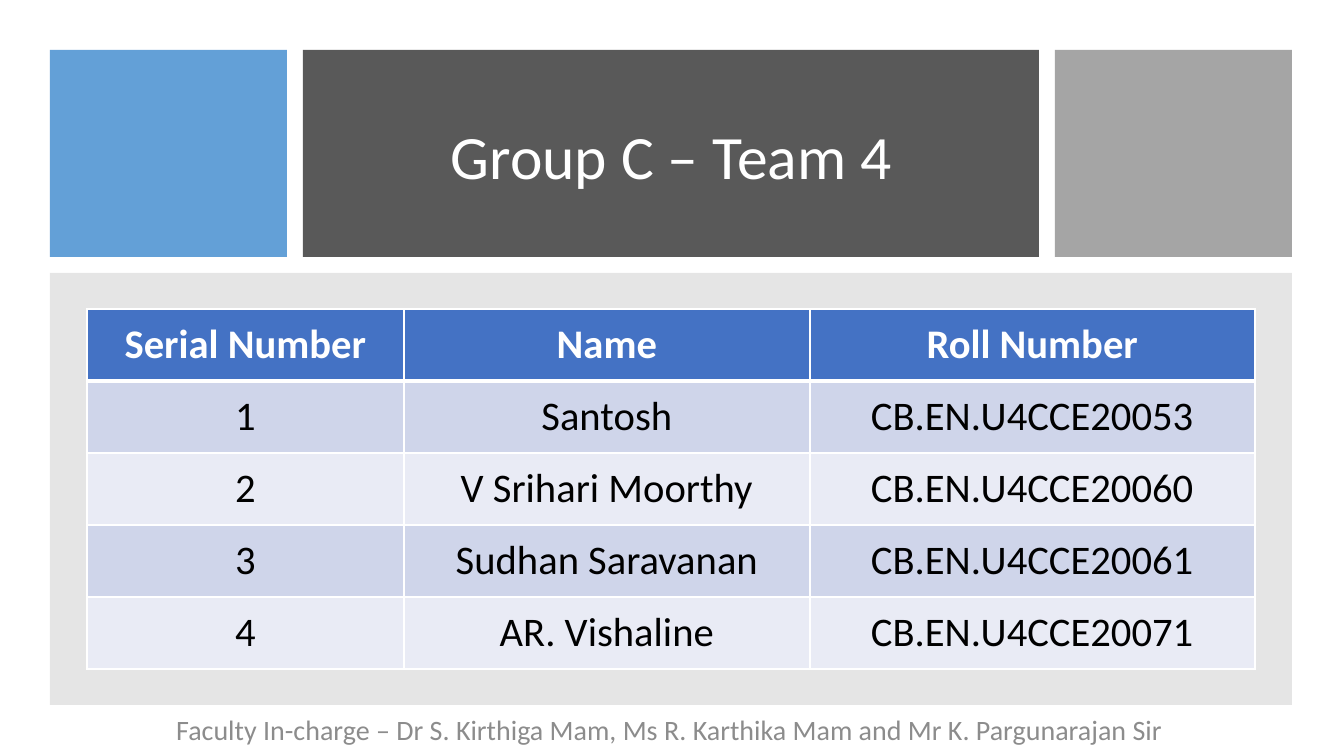
from dataclasses import dataclass
from itertools import accumulate
from typing import Any

from lxml.etree import SubElement
from pptx import Presentation
from pptx.dml.color import RGBColor
from pptx.enum.shapes import MSO_SHAPE
from pptx.enum.text import MSO_ANCHOR, PP_ALIGN
from pptx.oxml.ns import qn
from pptx.util import Emu, Pt

SCALE = 914400 / 100.8


def px(size: int) -> Emu:
    return Emu(round(size * SCALE))


@dataclass(frozen=True)
class Theme:
    font: str = "Calibri"
    white: str = "FFFFFF"
    black: str = "000000"
    blue: str = "5B9BD5"
    dark: str = "595959"
    gray: str = "A5A5A5"
    panel: str = "808080"
    head: str = "4472C4"
    bands: tuple[str, str] = ("CFD5EA", "E9EBF5")
    muted: str = "8C8C8C"
    title: int = 44
    body: int = 29
    foot: int = 20
    thin: int = 1
    thick: int = 3


@dataclass(frozen=True)
class Box:
    left: int
    top: int
    width: int
    height: int

    def emu(self) -> tuple[Emu, ...]:
        return tuple(map(px, (self.left, self.top, self.width, self.height)))


@dataclass(frozen=True)
class Block:
    box: Box
    color: str
    alpha: int = 100


@dataclass(frozen=True)
class Label:
    box: Box
    text: str
    size: int
    color: str
    space: float = 1.0


THEME = Theme()
EDGE, GAP, TALL = 50, 16, 207
WIDTHS = (237, 736, 237)
LEFTS = tuple(accumulate((w + GAP for w in WIDTHS[:-1]), initial=EDGE))
FILLS = ((THEME.blue, 95), (THEME.dark, 100), (THEME.gray, 100))
FULL = sum(WIDTHS) + 2 * GAP

BLOCKS = [
    Block(Box(left, EDGE, width, TALL), color, alpha)
    for left, width, (color, alpha) in zip(LEFTS, WIDTHS, FILLS)
] + [Block(Box(EDGE, EDGE + TALL + GAP, FULL, 432), THEME.panel, 20)]

LABELS = [
    Label(Box(336, 81, 671, 157), "Group C – Team 4", THEME.title, THEME.white, 0.9),
    Label(
        Box(EDGE, 703, 1239, 53),
        "Faculty In-charge – Dr S. Kirthiga Mam, Ms R. Karthika Mam and Mr K. Pargunarajan Sir",
        THEME.foot,
        THEME.muted,
    ),
]

COLS = (317, 406, 445)
ROW = 72
ROWS = [
    ("Serial Number", "Name", "Roll Number"),
    ("1", "Santosh", "CB.EN.U4CCE20053"),
    ("2", "V Srihari Moorthy", "CB.EN.U4CCE20060"),
    ("3", "Sudhan Saravanan", "CB.EN.U4CCE20061"),
    ("4", "AR. Vishaline", "CB.EN.U4CCE20071"),
]


def apply(item: Any, **values: Any) -> None:
    for name, value in values.items():
        setattr(item, name, value)


def write(frame: Any, text: str, size: int, color: str, bold: bool = False, space: float = 1.0) -> None:
    line = frame.paragraphs[0]
    apply(line, text=text, alignment=PP_ALIGN.CENTER, line_spacing=space)
    font = line.runs[0].font
    apply(font, name=THEME.font, size=Pt(size), bold=bold)
    font.color.rgb = RGBColor.from_string(color)


def paint(fill: Any, color: str) -> None:
    fill.solid()
    fill.fore_color.rgb = RGBColor.from_string(color)


def draw_block(slide: Any, block: Block) -> None:
    shape = slide.shapes.add_shape(MSO_SHAPE.RECTANGLE, *block.box.emu())
    shape.shadow.inherit = False
    shape.line.fill.background()
    paint(shape.fill, block.color)
    if block.alpha < 100:
        color = shape._element.spPr.find(qn("a:solidFill"))[0]
        SubElement(color, qn("a:alpha"), val=str(block.alpha * 1000))


def draw_label(slide: Any, label: Label) -> None:
    frame = slide.shapes.add_textbox(*label.box.emu()).text_frame
    apply(frame, word_wrap=True, vertical_anchor=MSO_ANCHOR.MIDDLE)
    write(frame, label.text, label.size, label.color, space=label.space)


def rule(cell: Any, side: str, width: int) -> None:
    line = SubElement(cell._tc.get_or_add_tcPr(), qn(f"a:ln{side}"), w=str(Pt(width)))
    fill = SubElement(line, qn("a:solidFill"))
    SubElement(fill, qn("a:srgbClr"), val=THEME.white)


def draw_table(slide: Any) -> None:
    box = Box(87, 309, sum(COLS), ROW * len(ROWS))
    table = slide.shapes.add_table(len(ROWS), len(COLS), *box.emu()).table
    for col, width in zip(table.columns, COLS):
        col.width = px(width)
    for i, texts in enumerate(ROWS):
        table.rows[i].height = px(ROW)
        head = i == 0
        back = THEME.head if head else THEME.bands[(i - 1) % 2]
        color = THEME.white if head else THEME.black
        thick = {0: "B", 1: "T"}.get(i)
        for j, text in enumerate(texts):
            cell = table.cell(i, j)
            apply(
                cell,
                vertical_anchor=MSO_ANCHOR.MIDDLE,
                margin_left=px(16),
                margin_right=px(16),
                margin_top=px(8),
                margin_bottom=px(8),
            )
            for side in "LRTB":
                rule(cell, side, THEME.thick if side == thick else THEME.thin)
            paint(cell.fill, back)
            write(cell.text_frame, text, THEME.body, color, bold=head)


def main() -> None:
    deck = Presentation()
    apply(deck, slide_width=px(1344), slide_height=px(756))
    slide = deck.slides.add_slide(deck.slide_layouts[6])
    for block in BLOCKS:
        draw_block(slide, block)
    draw_table(slide)
    for label in LABELS:
        draw_label(slide, label)
    deck.save("out.pptx")


if __name__ == "__main__":
    main()
